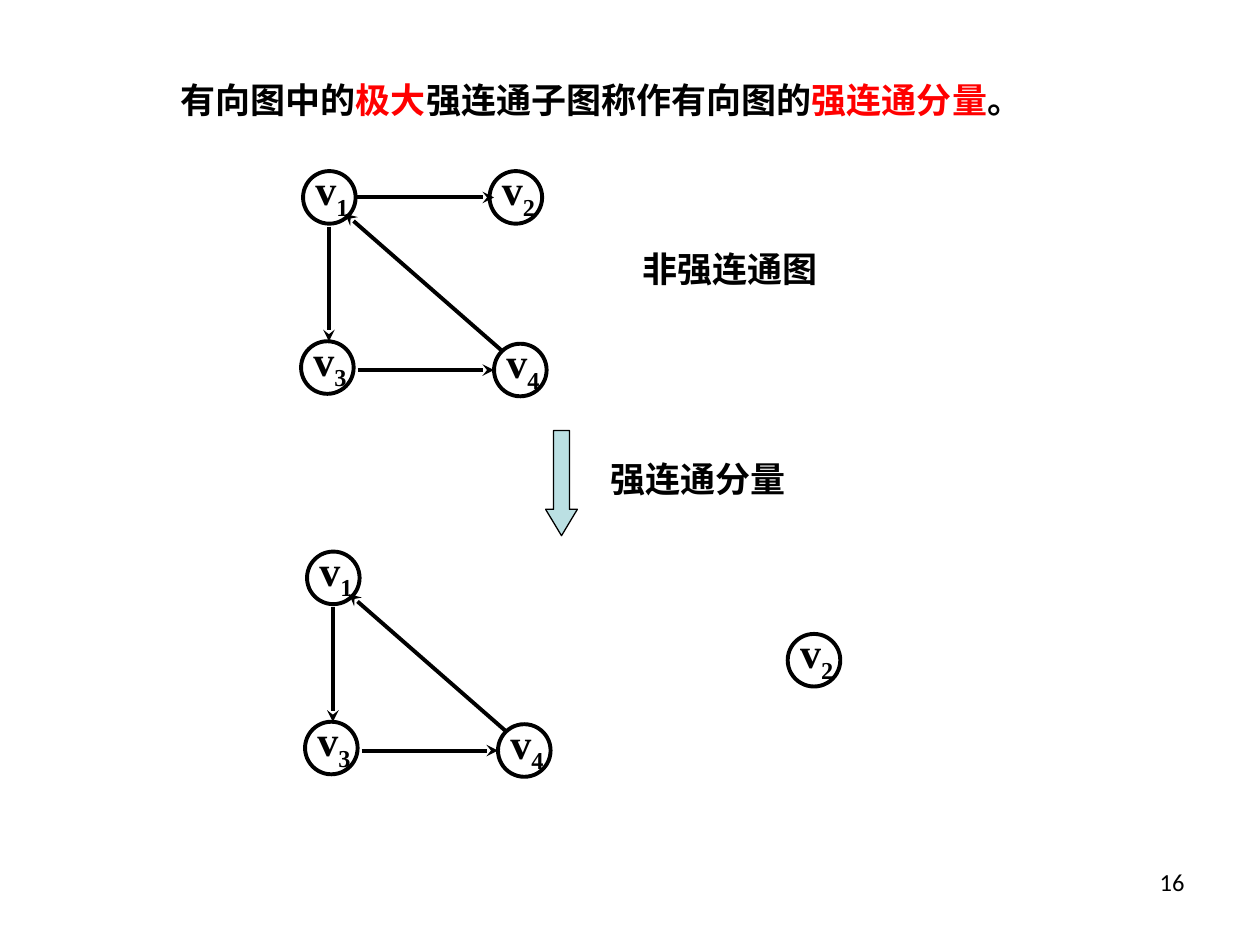
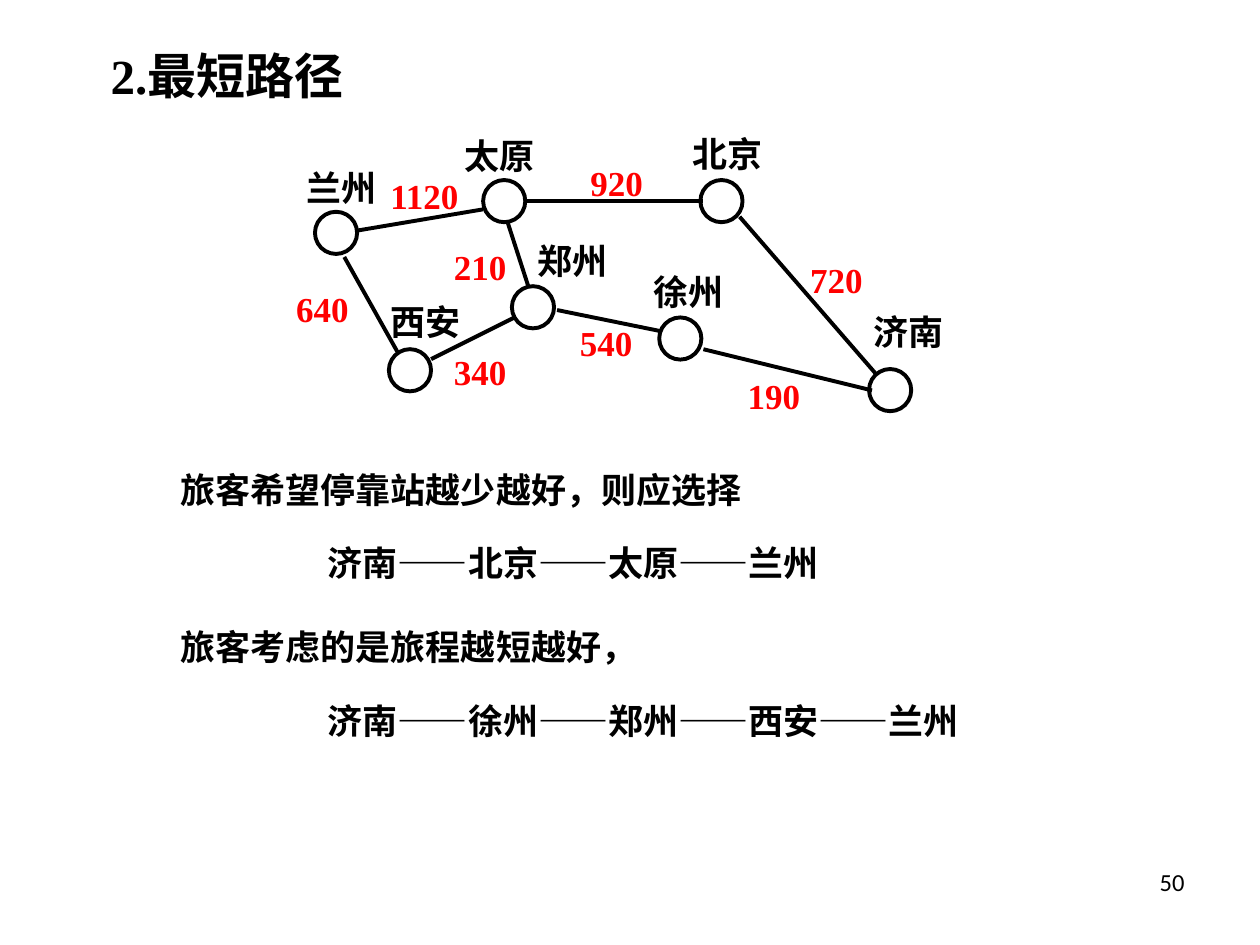
from lxml import etree
from pptx import Presentation
from pptx.dml.color import RGBColor
from pptx.enum.shapes import MSO_CONNECTOR, MSO_SHAPE
from pptx.enum.text import PP_ALIGN
from pptx.oxml.ns import qn
from pptx.util import Cm, Pt

STRAIGHT = MSO_CONNECTOR.STRAIGHT
OVAL, DOWN_ARROW = MSO_SHAPE.OVAL, MSO_SHAPE.DOWN_ARROW
LEFT, RIGHT = PP_ALIGN.LEFT, PP_ALIGN.RIGHT

COLORS = {"ink": "000000", "accent": "FF0000", "arrow": "BBE0E3"}
SERIF, CHINESE, NUMBER_FONT = "Times New Roman", "Noto Sans CJK SC", "Calibri"
BODY = {"size": Pt(20), "bold": True, "name": SERIF}
DEFINITION = {**BODY, "name": CHINESE}
TITLE = {**BODY, "size": Pt(28)}
NODE_LABEL = {**BODY, "size": Pt(24)}
SLIDE_NUMBER = {"size": Pt(14), "bold": False, "name": NUMBER_FONT}
LINE_HEIGHT = 1.12  # box height of one body line, cm
LINE_WIDTH = 2.25

# Directed graph, in cm from the graph's top left corner
NODE_SIZE = 1.06
NODES = {"1": (0.04, 0), "2": (3.8, 0), "3": (0, 3.43), "4": (3.89, 3.48)}
EDGES = {
    "12": ((1.12, 0.53), (3.89, 0.53)),
    "13": ((0.56, 1.12), (0.56, 3.43)),
    "34": ((1.14, 4.01), (3.89, 4.01)),
    "41": ((4.06, 3.63), (0.89, 0.86)),
}

# Railway map, in cm from the map's top left corner
CITY_SIZE = 0.85
CITIES = {  # name: (circle, label)
    "兰州": ((0.63, 1.73), (0.2, 0.69)),
    "西安": ((2.12, 4.5), (1.9, 3.39)),
    "太原": ((4.02, 1.09), (3.39, 0.05)),
    "郑州": ((4.6, 3.23), (4.87, 2.16)),
    "北京": ((8.4, 1.09), (8, 0)),
    "徐州": ((7.57, 3.86), (7.2, 2.79)),
    "济南": ((11.8, 4.9), (11.64, 3.6)),
}
ROADS = {  # distance: (start, end, label)
    "1120": ((1.47, 2.11), (4.02, 1.68), (1.9, 0.85)),
    "640": ((1.22, 2.64), (2.29, 4.55), (0, 3.13)),
    "340": ((2.97, 4.7), (4.65, 3.86), (3.18, 4.4)),
    "210": ((4.52, 1.96), (4.93, 3.23), (3.18, 2.29)),
    "540": ((5.51, 3.71), (7.62, 4.14), (5.72, 3.81)),
    "920": ((4.88, 1.52), (8.46, 1.52), (5.93, 0.59)),
    "720": ((9.19, 1.83), (11.94, 5), (10.36, 2.54)),
    "190": ((8.46, 4.5), (11.86, 5.33), (9.1, 4.88)),
}


def color(name):
    return RGBColor.from_string(COLORS[name])


def add_text(shapes, box, runs, style, align=LEFT):
    """Add one line of text; runs are (text, colour name) pairs."""
    text_box = shapes.add_textbox(*map(Cm, box))
    text_box.text_frame.word_wrap = True
    paragraph = text_box.text_frame.paragraphs[0]
    paragraph.alignment = align
    for text, color_name in runs:
        run = paragraph.add_run()
        run.text = text
        for attribute, value in style.items():
            setattr(run.font, attribute, value)
        run.font.color.rgb = color(color_name)
        east_asian = etree.SubElement(run.font._element, qn("a:ea"))
        east_asian.set("typeface", CHINESE)
    return paragraph


def add_line(shapes, origin, start, end, arrow=False):
    left, top = origin
    connector = shapes.add_connector(
        STRAIGHT, Cm(left + start[0]), Cm(top + start[1]),
        Cm(left + end[0]), Cm(top + end[1]))
    connector.line.width = Pt(LINE_WIDTH)
    connector.line.color.rgb = color("ink")
    if arrow:
        line = connector.line._get_or_add_ln()
        etree.SubElement(line, qn("a:tailEnd")).set("type", "stealth")
    etree.SubElement(connector._element.spPr, qn("a:effectLst"))


def add_shape(shapes, kind, box, fill=None, line_width=LINE_WIDTH):
    shape = shapes.add_shape(kind, *map(Cm, box))
    shape.shadow.inherit = False
    if fill:
        shape.fill.solid()
        shape.fill.fore_color.rgb = color(fill)
    else:
        shape.fill.background()
    shape.line.color.rgb = color("ink")
    shape.line.width = Pt(line_width)
    return shape


def add_numbered_slide(presentation, number):
    slide = presentation.slides.add_slide(presentation.slide_layouts[6])
    add_text(slide.shapes, (18.2, 17.36, 5.93, 1.32), [(number, "ink")],
             SLIDE_NUMBER, RIGHT)
    return slide


def draw_graph(slide, left, top, nodes, edges=()):
    shapes = slide.shapes.add_group_shape().shapes
    for edge in edges:
        add_line(shapes, (left, top), *EDGES[edge], arrow=True)
    for node in nodes:
        x, y = left + NODES[node][0], top + NODES[node][1]
        add_shape(shapes, OVAL, (x, y, NODE_SIZE, NODE_SIZE))
        label = add_text(shapes, (x, y - 0.27, 1.9, 1.42),
                         [("v", "ink"), (node, "ink")], NODE_LABEL)
        label.runs[1].font._element.set("baseline", "-25000")


def draw_step_arrow(slide, left, top):
    shapes = slide.shapes.add_group_shape().shapes
    arrow = add_shape(shapes, DOWN_ARROW, (left, top, 0.64, 2.12), "arrow", 0.75)
    arrow.adjustments[0] = 0.5
    arrow.adjustments[1] = 0.83
    add_text(shapes, (left + 1.06, top + 0.42, 8.68, LINE_HEIGHT),
             [("强连通分量", "ink")], BODY)


def draw_railway_map(slide, left, top):
    shapes = slide.shapes.add_group_shape().shapes
    # Cities
    for name, (circle, label) in CITIES.items():
        add_shape(shapes, OVAL,
                  (left + circle[0], top + circle[1], CITY_SIZE, CITY_SIZE))
        add_text(shapes, (left + label[0], top + label[1], 2.12, LINE_HEIGHT),
                 [(name, "ink")], BODY)
    # Roads and their lengths
    for distance, (start, end, label) in ROADS.items():
        add_line(shapes, (left, top), start, end)
        add_text(shapes, (left + label[0], top + label[1], 2.54, LINE_HEIGHT),
                 [(distance, "accent")], BODY)


def draw_route_choice(slide, left, top, wish, route):
    add_text(slide.shapes, (left, top, 18.2, LINE_HEIGHT), [(wish, "ink")], BODY)
    add_text(slide.shapes, (left + 2.97, top + 1.48, 15.44, LINE_HEIGHT),
             [("——".join(route), "ink")], BODY)


def build_components_slide(presentation):
    slide = add_numbered_slide(presentation, "16")
    add_text(slide.shapes, (3.39, 1.45, 20.11, LINE_HEIGHT), [
        ("有向图中的", "ink"), ("极大", "accent"),
        ("强连通子图称作有向图的", "ink"), ("强连通分量", "accent"),
        ("。", "ink")], DEFINITION)
    draw_graph(slide, 6.07, 3.45, "1234", EDGES)
    add_text(slide.shapes, (12.7, 4.87, 10.37, LINE_HEIGHT),
             [("非强连通图", "ink")], BODY)
    draw_step_arrow(slide, 11, 8.68)
    draw_graph(slide, 12.08, 12.78, "2")
    draw_graph(slide, 6.15, 11.12, "134", ("13", "34", "41"))


def build_shortest_path_slide(presentation):
    slide = add_numbered_slide(presentation, "50")
    add_text(slide.shapes, (1.98, 0.79, 9.53, 1.45), [("2.最短路径", "ink")], TITLE)
    draw_railway_map(slide, 5.72, 2.54)
    draw_route_choice(slide, 3.39, 9.31, "旅客希望停靠站越少越好，则应选择",
                      ("济南", "北京", "太原", "兰州"))
    draw_route_choice(slide, 3.39, 12.49, "旅客考虑的是旅程越短越好，",
                      ("济南", "徐州", "郑州", "西安", "兰州"))


def main():
    presentation = Presentation()
    presentation.slide_width = Cm(25.4)
    presentation.slide_height = Cm(19.05)
    build_components_slide(presentation)
    build_shortest_path_slide(presentation)
    presentation.save("out.pptx")


if __name__ == "__main__":
    main()
